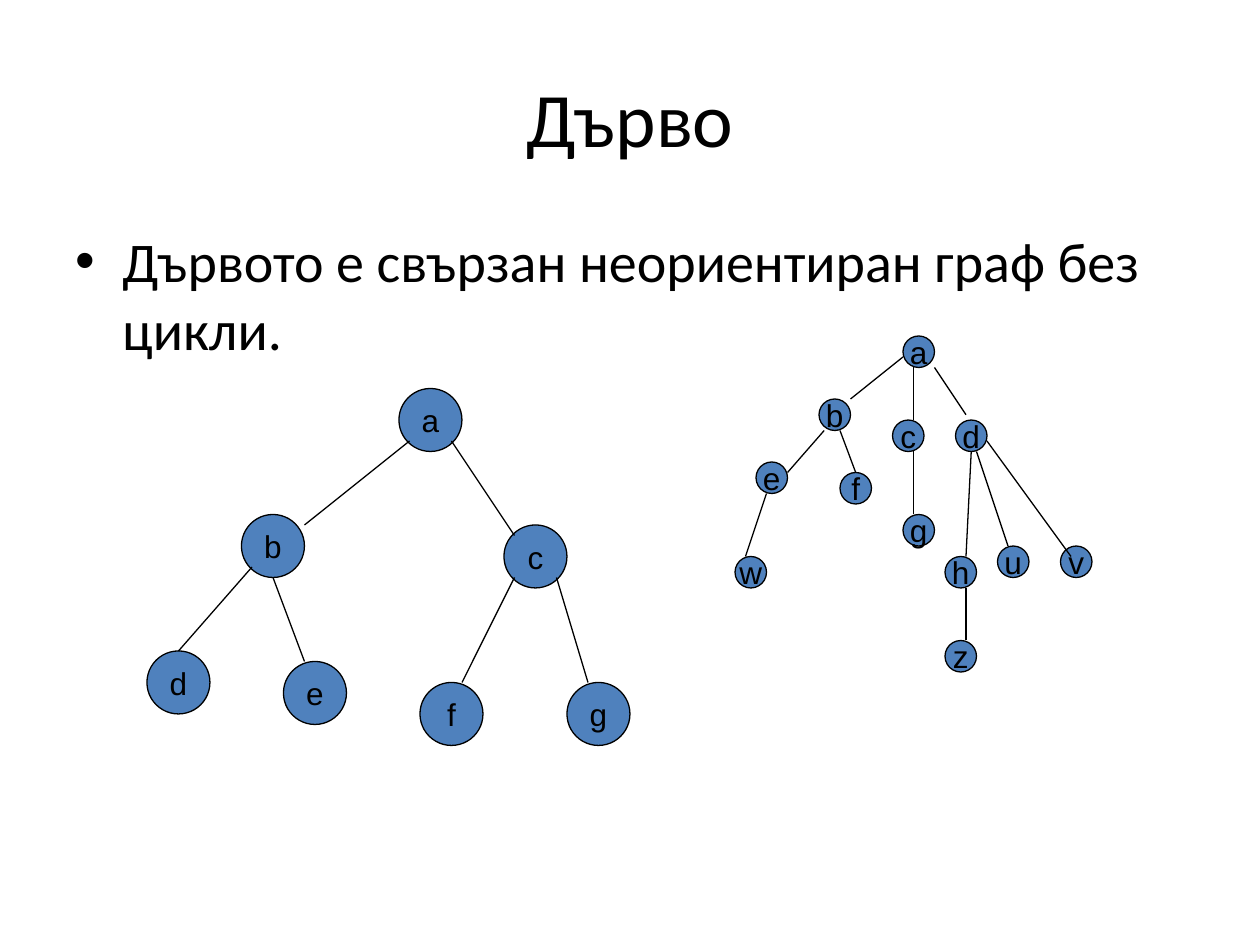
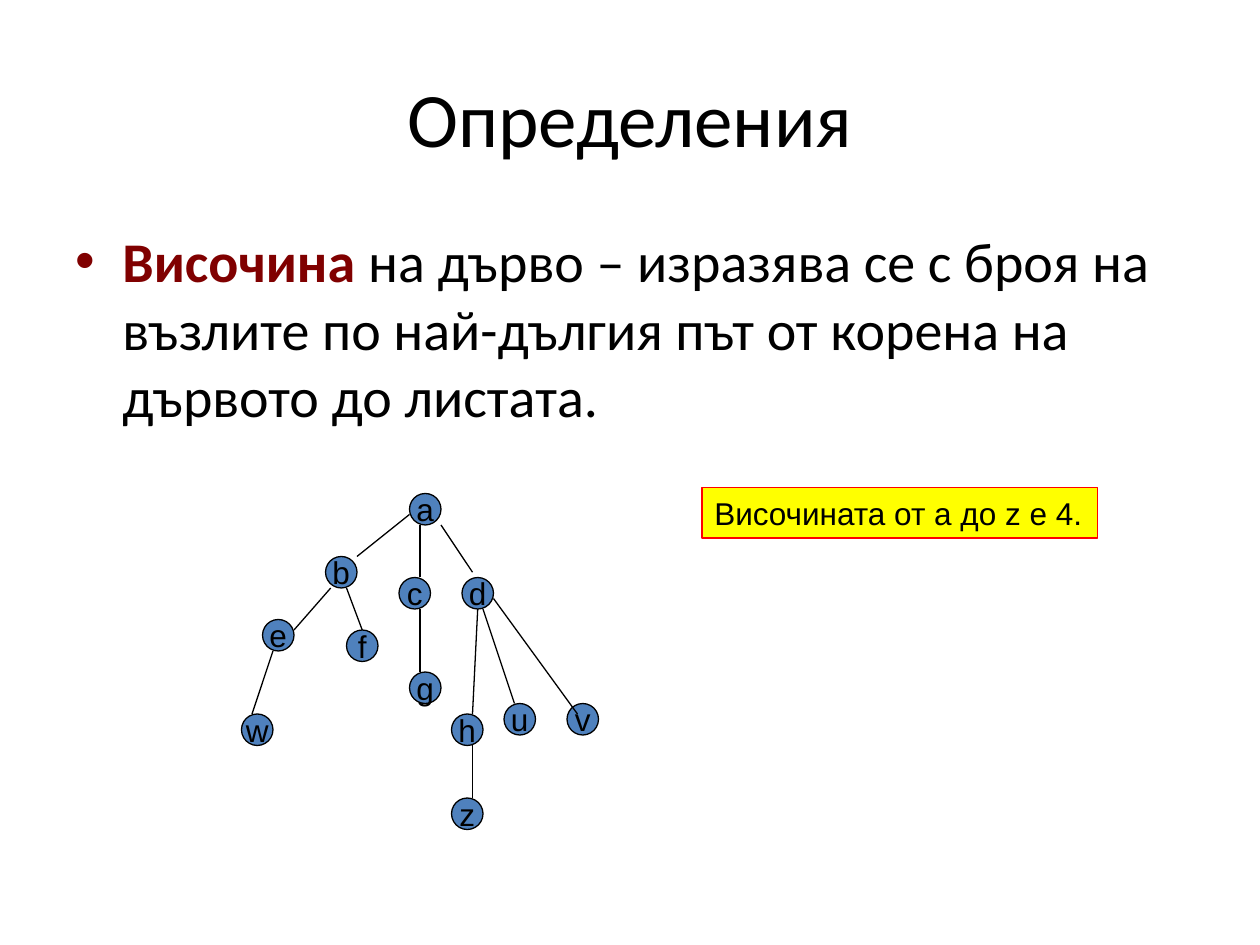
import pptx
import pptx.dml.color
import pptx.enum.shapes
import pptx.enum.text
import pptx.oxml
import pptx.oxml.ns
import pptx.util

Cm = pptx.util.Cm
Pt = pptx.util.Pt
RGBColor = pptx.dml.color.RGBColor
Shape = pptx.enum.shapes.MSO_SHAPE
Anchor = pptx.enum.text.MSO_ANCHOR
Align = pptx.enum.text.PP_ALIGN
AutoSize = pptx.enum.text.MSO_AUTO_SIZE

BLACK = RGBColor(0x00, 0x00, 0x00)
BLUE = RGBColor(0x4F, 0x81, 0xBD)
MAROON = RGBColor(0x80, 0x00, 0x00)
YELLOW = RGBColor(0xFF, 0xFF, 0x00)
RED = RGBColor(0xFF, 0x00, 0x00)

TITLE_FONT = {"name": "Calibri", "size": Pt(44), "bold": False}
BODY_FONT = {"name": "Calibri", "size": Pt(32), "bold": False}
TERM_FONT = {**BODY_FONT, "bold": True}
NODE_FONT = {"name": "Arial", "size": Pt(18), "bold": False}

TITLE_BOX = {"left": Cm(1.27), "top": Cm(0.76), "width": Cm(22.86), "height": Cm(3.18)}
BODY_BOX = {"left": Cm(1.27), "top": Cm(4.45), "width": Cm(22.86), "height": Cm(12.57)}
NOTE_BOX = {"left": Cm(14.15), "top": Cm(9.83), "width": Cm(7.98), "height": Cm(1.02)}

GRID_STEP = 2.54 / 24

BINARY_TREE = {
    "node_size": 12,
    "nodes": {
        "a": (48, 0), "b": (18, 24), "c": (68, 26), "d": (0, 50),
        "e": (26, 52), "f": (52, 56), "g": (80, 56),
    },
    "edges": [
        ((50, 10), (30, 26)), ((58, 10), (70, 28)),
        ((20, 34), (6, 50)), ((24, 36), (30, 52)),
        ((70, 36), (60, 56)), ((78, 36), (84, 56)),
    ],
}
GENERAL_TREE = {
    "node_size": 6,
    "nodes": {
        "a": (32, 0), "b": (16, 12), "c": (30, 16), "d": (42, 16),
        "e": (4, 24), "f": (20, 26), "g": (32, 34), "h": (40, 42),
        "u": (50, 40), "v": (62, 40), "w": (0, 42), "z": (40, 58),
    },
    "edges": [
        ((32, 4), (22, 12)), ((34, 6), (34, 16)), ((38, 6), (44, 15)),
        ((17, 18), (10, 26)), ((20, 18), (23, 26)), ((34, 22), (34, 34)),
        ((45, 22), (44, 42)), ((46, 22), (52, 40)), ((48, 20), (64, 42)),
        ((6, 30), (2, 42)), ((44, 48), (44, 58)),
    ],
}

PAGES = [
    {
        "title": "Дърво",
        "body": [("Дървото е свързан неориентиран граф без цикли.", BODY_FONT, BLACK)],
        "trees": [(BINARY_TREE, (28, 74)), (GENERAL_TREE, (140, 64))],
        "notes": [],
    },
    {
        "title": "Определения",
        "body": [
            ("Височина", TERM_FONT, MAROON),
            (" на дърво – изразява се с броя на възлите по най-дългия път "
             "от корена на дървото до листата.", BODY_FONT, BLACK),
        ],
        "trees": [(GENERAL_TREE, (46, 94))],
        "notes": ["Височината от а до z е 4."],
    },
]


def apply(target, formats):
    for name, value in formats.items():
        setattr(target, name, value)


def add_span(para, text, font, color=BLACK):
    span = para.add_run()
    span.text = text
    apply(span.font, font)
    span.font.color.rgb = color


def on_grid(origin, point):
    return [Cm((start + offset) * GRID_STEP) for start, offset in zip(origin, point)]


def style_line(line, color):
    line.color.rgb = color
    line.width = Pt(0.75)


def add_label(shapes, kind, place, text, fill, outline, align, frame_format):
    shape = shapes.add_shape(kind, *place)
    shape.shadow.inherit = False
    shape.fill.solid()
    shape.fill.fore_color.rgb = fill
    style_line(shape.line, outline)
    apply(shape.text_frame, {"word_wrap": False, **frame_format})
    para = shape.text_frame.paragraphs[0]
    para.alignment = align
    add_span(para, text, NODE_FONT)


def add_edge(shapes, start, end):
    edge = shapes.add_connector(pptx.enum.shapes.MSO_CONNECTOR.STRAIGHT, *start, *end)
    style_line(edge.line, BLACK)
    edge._element.spPr.append(pptx.oxml.parse_xml(
        f"<a:effectLst {pptx.oxml.ns.nsdecls('a')}/>"))


def add_tree(page, tree, origin):
    shapes = page.shapes.add_group_shape().shapes
    size = Cm(tree["node_size"] * GRID_STEP)
    for name, point in tree["nodes"].items():
        add_label(shapes, Shape.OVAL, (*on_grid(origin, point), size, size), name,
                  BLUE, BLACK, Align.CENTER, {"vertical_anchor": Anchor.MIDDLE})
    for start, end in tree["edges"]:
        add_edge(shapes, on_grid(origin, start), on_grid(origin, end))


def add_title(page, text):
    title = page.shapes.title
    apply(title, TITLE_BOX)
    title.text_frame.vertical_anchor = Anchor.MIDDLE
    para = title.text_frame.paragraphs[0]
    para.alignment = Align.CENTER
    add_span(para, text, TITLE_FONT)


def add_body(page, spans):
    box = page.shapes.add_textbox(*BODY_BOX.values())
    box.text_frame.word_wrap = True
    para = box.text_frame.paragraphs[0]
    para.space_before = Pt(8)
    for text, font, color in spans:
        add_span(para, text, font, color)
    properties = para._p.get_or_add_pPr()
    properties.set("marL", str(Cm(0.95)))
    properties.set("indent", str(-Cm(0.95)))
    namespace = pptx.oxml.ns.nsdecls("a")
    for xml in (
        f'<a:buClr {namespace}><a:srgbClr val="{spans[0][2]}"/></a:buClr>',
        f'<a:buFont {namespace} typeface="Arial"/>',
        f'<a:buChar {namespace} char="•"/>',
    ):
        properties.append(pptx.oxml.parse_xml(xml))


def main():
    deck = pptx.Presentation()
    apply(deck, {"slide_width": Cm(25.4), "slide_height": Cm(19.05)})
    title_only = deck.slide_layouts.get_by_name("Title Only")
    for content in PAGES:
        page = deck.slides.add_slide(title_only)
        add_title(page, content["title"])
        add_body(page, content["body"])
        for tree, origin in content["trees"]:
            add_tree(page, tree, origin)
        for note in content["notes"]:
            add_label(page.shapes, Shape.RECTANGLE, NOTE_BOX.values(), note,
                      YELLOW, RED, Align.LEFT,
                      {"vertical_anchor": Anchor.TOP,
                       "auto_size": AutoSize.SHAPE_TO_FIT_TEXT})
    deck.save("out.pptx")


if __name__ == "__main__":
    main()
